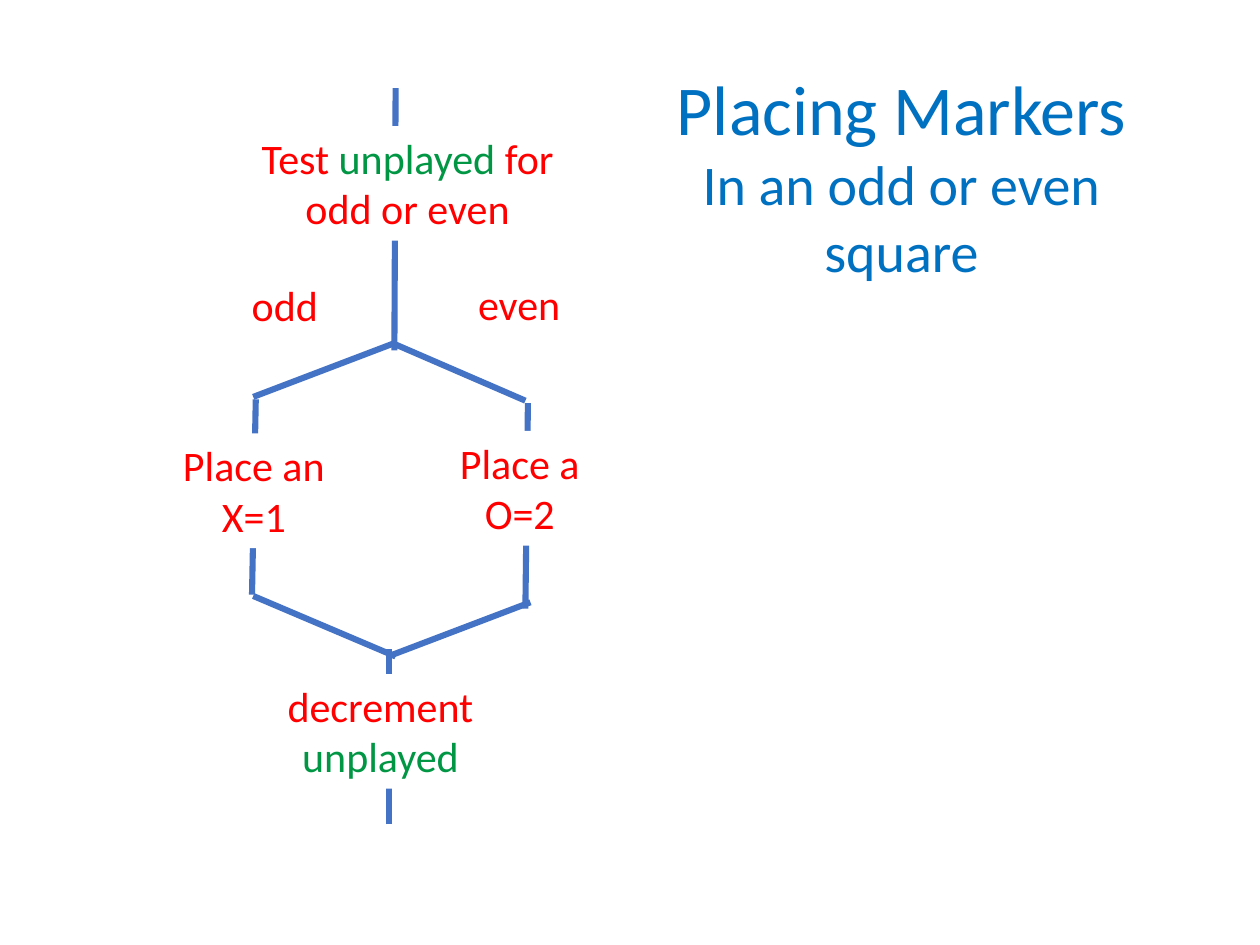
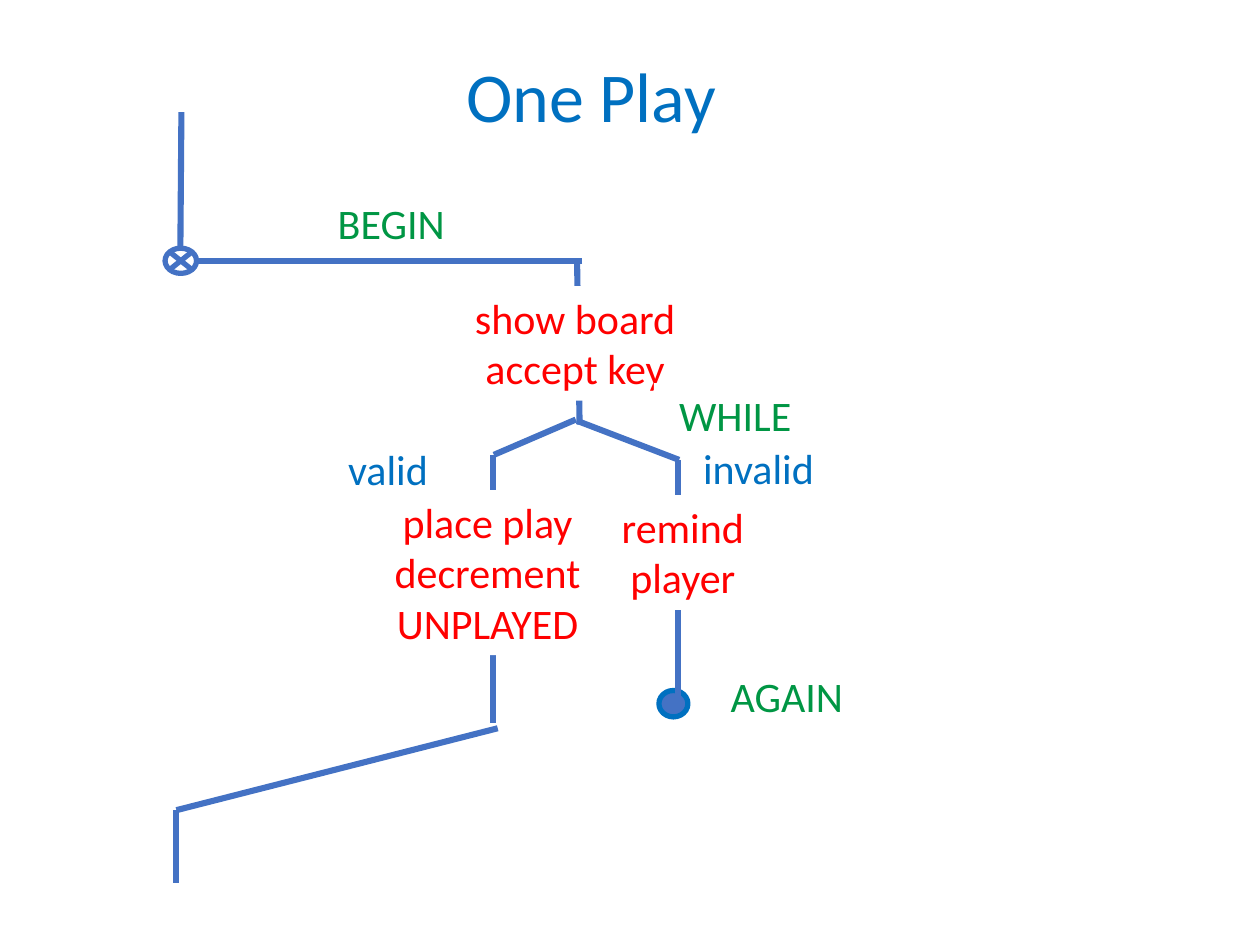
import pptx
import pptx.dml.color
import pptx.enum.shapes
import pptx.enum.text
import pptx.oxml.ns
import pptx.util
from lxml import etree

SHAPE = pptx.enum.shapes.MSO_SHAPE
BLUE, RED, GREEN = "0070C0", "FF0000", "009644"
LINE, WHITE = "4472C4", "FFFFFF"
FONT = "Calibri"
TITLE_ONLY = 5


def px(n):
    """Turn px (100 to the inch) into EMU."""
    return pptx.util.Emu(n * 9144)


def rgb(color):
    return pptx.dml.color.RGBColor.from_string(color)


class Flow:
    """Holds the deck style and the slide being drawn."""

    def __init__(self, prs):
        self.prs = prs
        self.slide = None

    def new_slide(self, x, y, w, h, paragraphs):
        """Start a slide; paragraphs are (text, size) pairs of its title."""
        self.slide = self.prs.slides.add_slide(self.prs.slide_layouts[TITLE_ONLY])
        sp = self.slide.shapes.title
        sp.left, sp.top, sp.width, sp.height = map(px, (x, y, w, h))
        tf = self.frame(sp)
        for i, (text, size) in enumerate(paragraphs):
            self.paragraph(tf, i, [(text, BLUE)], size)

    def frame(self, sp):
        tf = sp.text_frame
        tf.word_wrap = True
        tf.auto_size = pptx.enum.text.MSO_AUTO_SIZE.NONE
        tf.vertical_anchor = pptx.enum.text.MSO_ANCHOR.TOP
        return tf

    def paragraph(self, tf, index, runs, size):
        p = tf.add_paragraph() if index else tf.paragraphs[0]
        p.alignment = pptx.enum.text.PP_ALIGN.CENTER
        for text, color in runs:
            r = p.add_run()
            r.text = text
            r.font.name = FONT
            r.font.size = pptx.util.Pt(size)
            r.font.color.rgb = rgb(color)

    def label(self, x, y, w, h, *paragraphs, color=RED):
        """Bare text; a paragraph is a string or a list of (text, color) runs."""
        sp = self.slide.shapes.add_textbox(*map(px, (x, y, w, h)))
        self.flow_text(sp, paragraphs, color)

    def step(self, x, y, w, h, *paragraphs, color=RED):
        """White box that hides the flow line behind its text."""
        sp = self.shape(SHAPE.RECTANGLE, x, y, w, h, WHITE)
        self.flow_text(sp, paragraphs, color)

    def flow_text(self, sp, paragraphs, color):
        tf = self.frame(sp)
        for i, runs in enumerate(paragraphs):
            if isinstance(runs, str):
                runs = [(runs, color)]
            self.paragraph(tf, i, runs, 24)

    def shape(self, kind, x, y, w, h, fill, line=None):
        sp = self.slide.shapes.add_shape(kind, *map(px, (x, y, w, h)))
        sp.shadow.inherit = False
        sp.fill.solid()
        sp.fill.fore_color.rgb = rgb(fill)
        if line:
            sp.line.color.rgb = rgb(line)
            sp.line.width = pptx.util.Pt(3)
        else:
            sp.line.fill.background()
        return sp

    def lines(self, *segments):
        """Draw flow lines, each given as x1, y1, x2, y2."""
        for segment in segments:
            cxn = self.slide.shapes.add_connector(
                pptx.enum.shapes.MSO_CONNECTOR.STRAIGHT, *map(px, segment))
            cxn.line.color.rgb = rgb(LINE)
            cxn.line.width = pptx.util.Pt(3.5)
            etree.SubElement(cxn._element.spPr, pptx.oxml.ns.qn("a:effectLst"))


def placing_markers(flow):
    flow.new_slide(518, 47, 395, 185,
                   [("Placing Markers", 40), ("In an odd or even square", 32)])
    flow.lines(
        (314, 70, 313, 278),                         # entry
        (201, 315, 314, 272), (417, 318, 313, 273),  # split
        (200, 472, 203, 317), (417, 483, 419, 320),  # branches
        (314, 521, 201, 473), (308, 521, 421, 478),  # merge
        (309, 654, 309, 515))                        # exit
    flow.step(157, 100, 333, 91,
              [("Test ", RED), ("unplayed", GREEN), (" for", RED)], "odd or even")
    flow.step(133, 344, 137, 91, "Place an", "X=1")
    flow.step(344, 342, 137, 91, "Place a", "O=2")
    flow.step(186, 535, 232, 91, [("decrement ", RED), ("unplayed", GREEN)])
    flow.label(175, 217, 102, 50, "odd")
    flow.label(361, 216, 102, 50, "even")


def one_play(flow):
    flow.new_slide(78, 37, 782, 77, [("One Play", 40)])
    flow.lines((144, 89, 143, 217), (462, 207, 157, 207))
    flow.shape(SHAPE.FLOWCHART_SUMMING_JUNCTION, 131, 197, 25, 20, WHITE, LINE)
    flow.shape(SHAPE.OVAL, 523, 548, 23, 21, LINE, BLUE)
    flow.lines(
        (458, 207, 460, 337),                        # loop body
        (392, 361, 457, 333), (539, 365, 458, 334),  # split
        (391, 574, 391, 361), (538, 559, 538, 365),  # branches
        (395, 578, 140, 643), (140, 643, 140, 701))  # exit
    flow.step(226, 152, 169, 50, "BEGIN", color=GREEN)
    flow.step(341, 227, 231, 91, "show board", "accept key")
    flow.step(480, 393, 124, 91, "remind", "player")
    flow.step(519, 304, 129, 50, "WHILE", color=GREEN)
    flow.label(542, 346, 120, 50, "invalid", color=BLUE)
    flow.step(289, 389, 196, 131, "place play", "decrement", "UNPLAYED")
    flow.label(248, 347, 120, 50, "valid", color=BLUE)
    flow.step(560, 527, 129, 50, "AGAIN", color=GREEN)


def main():
    prs = pptx.Presentation()
    prs.slide_width, prs.slide_height = px(1000), px(750)
    flow = Flow(prs)
    placing_markers(flow)
    one_play(flow)
    prs.save("out.pptx")


if __name__ == "__main__":
    main()
